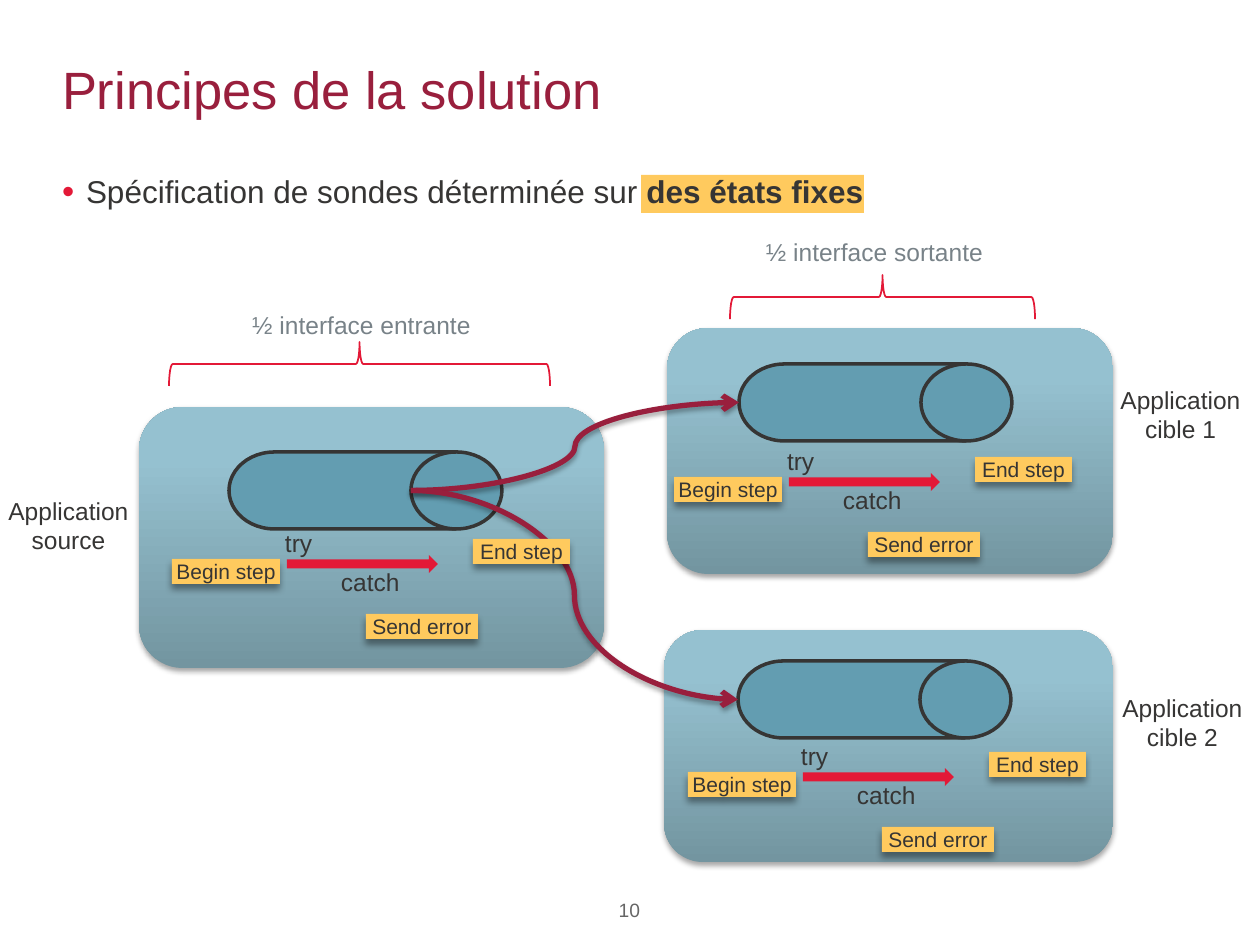
from copy import deepcopy
from dataclasses import dataclass

from lxml.etree import SubElement
from pptx import Presentation
from pptx.dml.color import RGBColor
from pptx.enum.shapes import MSO_CONNECTOR, MSO_SHAPE
from pptx.enum.text import MSO_ANCHOR, MSO_AUTO_SIZE, PP_ALIGN
from pptx.oxml.ns import qn
from pptx.util import Emu, Pt


@dataclass(frozen=True)
class Theme:
    font: str = "Arial"
    title: str = "991F3D"
    accent: str = "E31937"
    ink: str = "363534"
    caption: str = "788288"
    number: str = "666666"
    highlight: str = "FFCA5E"
    drum: str = "639DB1"
    panel: tuple = ((0, "7395A0"), (0.8, "95C1D0"), (1, "95C3D2"))
    soft_shadow: tuple = (35, 3.1, 1.8)
    tag_shadow: tuple = (40, 4, 3)
    title_size: int = 30
    body_size: int = 18
    label_size: int = 14
    tag_size: int = 12
    number_size: int = 11


THEME = Theme()
EMU_PER_PX = 914400 / 126


def px(length):
    return Emu(round(length * EMU_PER_PX))


def box(*lengths):
    return [px(length) for length in lengths]


def rgb(color):
    return RGBColor.from_string(color)


def set_font(font, size, color, bold=None):
    for name, value in {"name": THEME.font, "size": Pt(size), "bold": bold}.items():
        setattr(font, name, value)
    font.color.rgb = rgb(color)


def set_frame(frame, anchor=MSO_ANCHOR.TOP, auto_size=MSO_AUTO_SIZE.NONE):
    formats = {
        "margin_left": 0, "margin_top": 0, "margin_right": 0, "margin_bottom": 0,
        "word_wrap": True, "vertical_anchor": anchor, "auto_size": auto_size,
    }
    for name, value in formats.items():
        setattr(frame, name, value)


def write(shape, text, size, color, align=PP_ALIGN.CENTER, anchor=MSO_ANCHOR.TOP):
    set_frame(shape.text_frame, anchor)
    paragraph = shape.text_frame.paragraphs[0]
    paragraph.alignment = align
    run = paragraph.add_run()
    run.text = text
    set_font(run.font, size, color)


def place(shape, *bounds):
    for name, value in zip(("left", "top", "width", "height"), box(*bounds)):
        setattr(shape, name, value)


def cast_shadow(effects, opacity, blur, distance):
    shadow = SubElement(effects, qn("a:outerShdw"), blurRad=str(Pt(blur)),
                        dist=str(Pt(distance)), dir="5400000", rotWithShape="0")
    black = SubElement(shadow, qn("a:srgbClr"), val="000000")
    SubElement(black, qn("a:alpha"), val=str(opacity * 1000))


def add_preset(shapes, preset, bounds, fill=None, line=None, weight=1, shadow=None):
    shape = shapes.add_shape(preset, *box(*bounds))
    if fill:
        shape.fill.solid()
        shape.fill.fore_color.rgb = rgb(fill)
    else:
        shape.fill.background()
    if line:
        shape.line.color.rgb = rgb(line)
        shape.line.width = Pt(weight)
    else:
        shape.line.fill.background()
    shape.shadow.inherit = False
    if shadow:
        cast_shadow(shape._element.spPr.find(qn("a:effectLst")), *shadow)
    return shape


def add_label(shapes, bounds, text, color=THEME.ink, size=THEME.label_size,
              align=PP_ALIGN.CENTER):
    write(shapes.add_textbox(*box(*bounds)), text, size, color, align)


def add_panel(shapes, bounds):
    panel = add_preset(shapes, MSO_SHAPE.ROUNDED_RECTANGLE, bounds, THEME.drum,
                       shadow=THEME.soft_shadow)
    panel.fill.gradient()
    panel.fill.gradient_angle = 90
    stops = panel._element.spPr.find(".//" + qn("a:gsLst"))
    stops.append(deepcopy(stops[0]))
    for stop, (position, color) in zip(panel.fill.gradient_stops, THEME.panel):
        stop.position = position
        stop.color.rgb = rgb(color)


def add_drum(shapes, left, top):
    return add_preset(shapes, MSO_SHAPE.FLOWCHART_DIRECT_ACCESS_STORAGE,
                      (left, top, 273, 77), THEME.drum, THEME.ink, 2)


def add_brace(shapes, left, top, span):
    depth = 44
    bounds = (left + (span - depth) / 2, top - (span - depth) / 2, depth, span)
    add_preset(shapes, MSO_SHAPE.LEFT_BRACE, bounds, line=THEME.accent).rotation = 90


def add_flow(shapes, source, target):
    flow = shapes.add_connector(MSO_CONNECTOR.CURVE, 0, 0, 0, 0)
    flow.begin_connect(source, 3)
    flow.begin_x = source.left + source.width * 2 // 3
    flow.end_connect(target, 1)
    flow.line.color.rgb = rgb(THEME.title)
    flow.line.width = Pt(3)
    SubElement(flow.line._get_or_add_ln(), qn("a:tailEnd"), type="arrow")
    effects = SubElement(flow._element.spPr, qn("a:effectLst"))
    cast_shadow(effects, *THEME.soft_shadow)


def add_steps(shapes, left, top):
    steps = shapes.add_group_shape().shapes
    for text, x, y, width in (("Send error", 194, 86, 112), ("End step", 301, 11, 97),
                              ("Begin step", 0, 31, 108)):
        tag = add_preset(steps, MSO_SHAPE.RECTANGLE, (left + x, top + y, width, 25),
                         THEME.highlight, shadow=THEME.tag_shadow)
        write(tag, text, THEME.tag_size, THEME.ink)
    add_preset(steps, MSO_SHAPE.RIGHT_ARROW, (left + 115, top + 27, 151, 18), THEME.accent)
    for text, x, y, width in (("try", 113, 0, 43), ("catch", 169, 39, 66)):
        add_label(steps, (left + x, top + y, width, 25), text, align=PP_ALIGN.LEFT)


def fill_title(title):
    place(title, 62, 25, 1135, 127)
    write(title, "Principes de la solution", THEME.title_size, THEME.title,
          PP_ALIGN.LEFT, MSO_ANCHOR.MIDDLE)


def fill_body(body):
    place(body, 62, 176, 1137, 646)
    set_frame(body.text_frame)
    bullet = body.text_frame.paragraphs[0]
    properties = bullet._p.get_or_add_pPr()
    properties.set("marL", str(px(24)))
    properties.set("indent", str(px(-24)))
    color = SubElement(properties, qn("a:buClr"))
    SubElement(color, qn("a:srgbClr"), val=THEME.accent)
    SubElement(properties, qn("a:buSzPct"), val="110000")
    SubElement(properties, qn("a:buFont"), typeface=THEME.font)
    SubElement(properties, qn("a:buChar"), char="•")
    formats = {"alignment": PP_ALIGN.JUSTIFY, "line_spacing": 0.9,
               "space_before": Pt(0), "space_after": Pt(6)}
    for name, value in formats.items():
        setattr(bullet, name, value)
    for text, bold in (("Spécification de sondes déterminée sur ", False),
                       ("des états fixes", True)):
        run = bullet.add_run()
        run.text = text
        set_font(run.font, THEME.body_size, THEME.ink, bold)


def main():
    deck = Presentation()
    deck.slide_width, deck.slide_height = box(1260, 945)
    slide = deck.slides.add_slide(deck.slide_layouts[1])
    shapes = slide.shapes
    title, body = slide.placeholders
    add_preset(shapes, MSO_SHAPE.RECTANGLE, (641, 175, 223, 38), THEME.highlight)
    for placeholder, fill in ((title, fill_title), (body, fill_body)):
        fill(placeholder)
        shapes._spTree.append(placeholder._element)
    add_label(shapes, (576, 898, 107, 33), "10", THEME.number, THEME.number_size)

    for bounds in ((139, 407, 465, 261), (664, 630, 449, 232), (667, 328, 446, 246)):
        add_panel(shapes, bounds)
    add_brace(shapes, 730, 275, 305)
    source, *targets = [add_drum(shapes, left, top)
                        for left, top in ((229, 452), (739, 364), (738, 661))]
    for target in targets:
        add_flow(shapes, source, target)
    for text, left, top, width in (("Application source", 0, 496, 137),
                                   ("Application cible 1", 1114, 385, 133),
                                   ("Application cible 2", 1114, 693, 137)):
        add_label(shapes, (left, top, width, 59), text)
    for left, top in ((674, 446), (172, 528), (688, 741)):
        add_steps(shapes, left, top)
    add_brace(shapes, 169, 342, 381)
    for text, left, top in (("½ interface entrante", 151, 310),
                            ("½ interface sortante", 664, 237)):
        add_label(shapes, (left, top, 421, 30), text, THEME.caption)
    deck.save("out.pptx")


if __name__ == "__main__":
    main()
